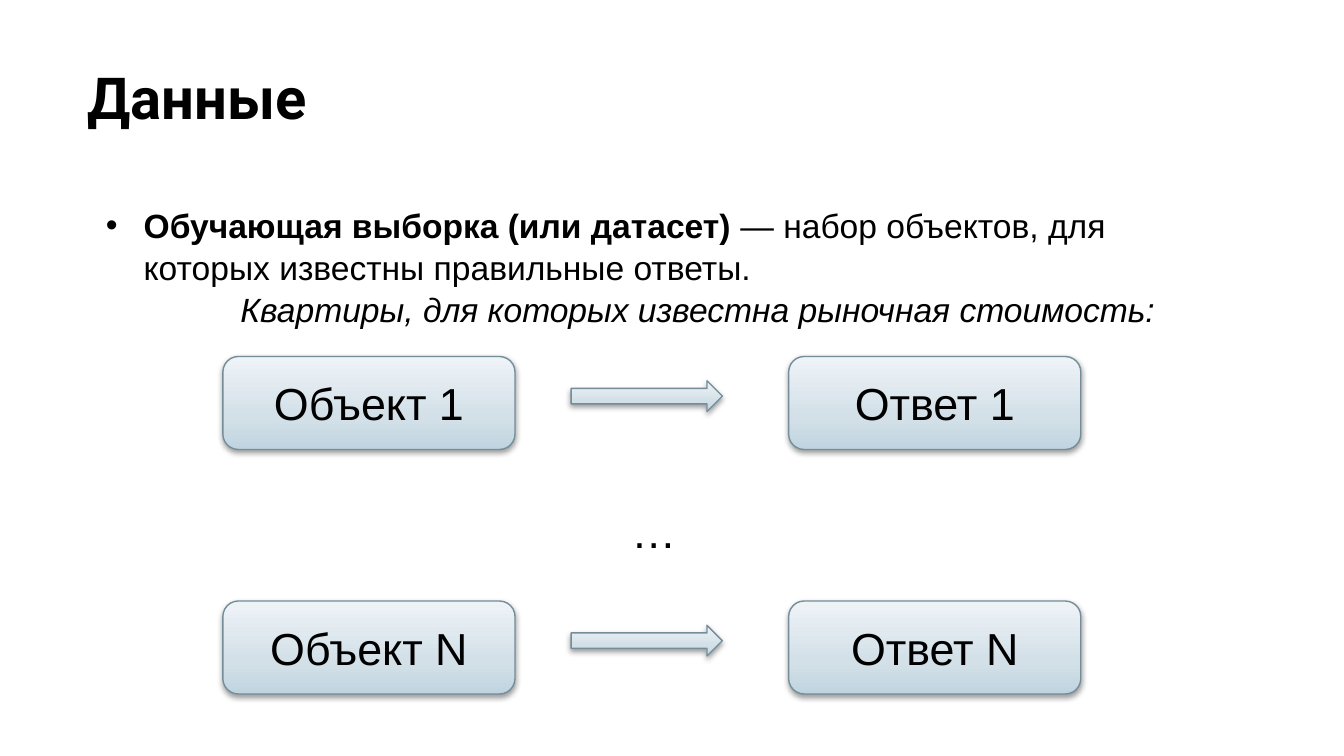
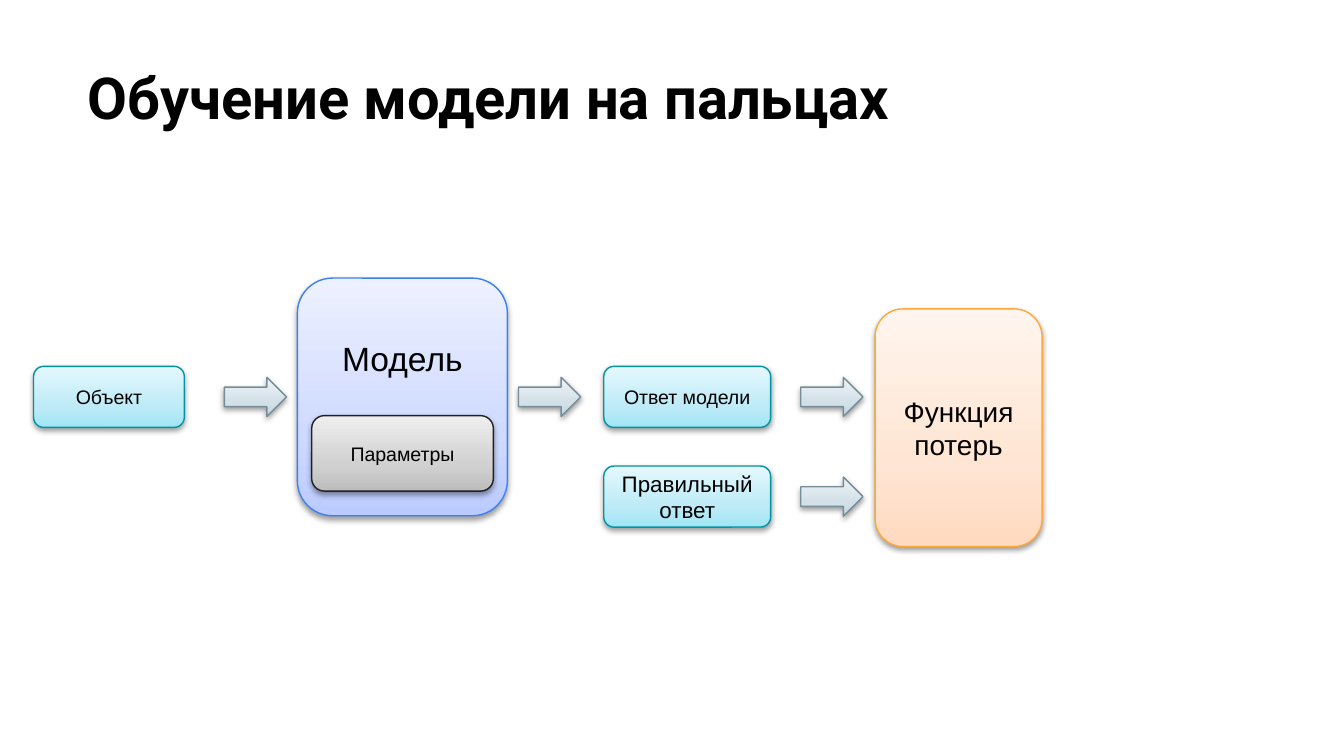
from dataclasses import dataclass

from lxml import etree
from pptx import Presentation
from pptx.dml.color import RGBColor
from pptx.enum.shapes import MSO_SHAPE
from pptx.enum.text import MSO_ANCHOR, MSO_AUTO_SIZE, PP_ALIGN
from pptx.oxml import parse_xml
from pptx.oxml.ns import nsdecls, qn
from pptx.util import Pt

ROUND_RECT = MSO_SHAPE.ROUNDED_RECTANGLE
RIGHT_ARROW = MSO_SHAPE.RIGHT_ARROW
TOP, MIDDLE = MSO_ANCHOR.TOP, MSO_ANCHOR.MIDDLE
LEFT, CENTER = PP_ALIGN.LEFT, PP_ALIGN.CENTER
NO_AUTOFIT = MSO_AUTO_SIZE.NONE


@dataclass(frozen=True)
class Theme:
    text = RGBColor(0, 0, 0)
    heading_font = "Roboto"
    body_font = "Arial"
    title_size = 31
    body_size = 18
    pair_size = 24
    model_size = 18
    loss_size = 15
    answer_size = 12
    small_size = 10.5
    line_width = 0.75
    gradient_positions = (0, 35, 100)
    # Outline, then gradient colours from bottom to top
    steel = ("748D99", "C0D4E0", "D3E0E8", "EEF3F7")
    blue = ("3C81F3", "BBCBFF", "CFDAFF", "EDF1FF")
    grey = ("202020", "BDBDBD", "D1D1D1", "EEEEEE")
    cyan = ("0094A3", "A0E5F5", "BEEBF7", "E5F8FD")
    orange = ("FEA83A", "FFDAC0", "FFE5D3", "FFF5EE")


theme = Theme()
SHADOW = (
    f'<a:outerShdw {nsdecls("a")} blurRad="{Pt(3.1)}" dist="{Pt(1.6)}" '
    'dir="5400000" rotWithShape="0"><a:srgbClr val="000000">'
    '<a:alpha val="38000"/></a:srgbClr></a:outerShdw>'
)


def add_title_slide(prs, title):
    s = prs.slides.add_slide(prs.slide_layouts[5])
    sp = s.shapes.title
    sp.left, sp.top, sp.width, sp.height = Pt(39.6), Pt(25.9), Pt(671), Pt(86.4)
    tf = sp.text_frame
    tf.text = title
    frame_format = {"auto_size": NO_AUTOFIT, "vertical_anchor": TOP, "word_wrap": True}
    for side in ("left", "top", "right", "bottom"):
        frame_format[f"margin_{side}"] = Pt(7.2)
    for name, value in frame_format.items():
        setattr(tf, name, value)
    p = tf.paragraphs[0]
    p.alignment = LEFT
    font = p.runs[0].font
    for name, value in {"name": theme.heading_font, "size": Pt(theme.title_size), "bold": True}.items():
        setattr(font, name, value)
    font.color.rgb = theme.text
    return s


def add_block(s, geometry, at, palette, text="", size=0):
    """Add a gradient shape with a soft shadow and optional centred text."""
    sp = s.shapes.add_shape(geometry, *(Pt(v) for v in at))
    outline, *colours = palette
    sp.fill.gradient()
    sp.fill.gradient_angle = 90
    stops = sp.element.spPr.find(qn("a:gradFill")).find(qn("a:gsLst"))
    for stop in list(stops):
        stops.remove(stop)
    for position, colour in zip(theme.gradient_positions, colours):
        stop = etree.SubElement(stops, qn("a:gs"), pos=str(position * 1000))
        etree.SubElement(stop, qn("a:srgbClr"), val=colour)
    sp.line.color.rgb = RGBColor.from_string(outline)
    sp.line.width = Pt(theme.line_width)
    sp.shadow.inherit = False
    sp.element.spPr.find(qn("a:effectLst")).append(parse_xml(SHADOW))
    if text:
        tf = sp.text_frame
        tf.word_wrap = True
        tf.vertical_anchor = MIDDLE
        p = tf.paragraphs[0]
        p.alignment = CENTER
        r = p.add_run()
        r.text = text
        r.font.name, r.font.size = theme.body_font, Pt(size)
        r.font.color.rgb = theme.text
    return sp


prs = Presentation()
prs.slide_width, prs.slide_height = Pt(720), Pt(405)

# Slide 1: training data
s = add_title_slide(prs, "Данные")
definition = s.shapes.add_textbox(Pt(49.7), Pt(105), Pt(620.6), Pt(260))
ellipsis = s.shapes.add_textbox(Pt(331.2), Pt(265), Pt(25.2), Pt(36))

# Paragraphs: left margin, first-line indent, bullet, size, runs (text, bold, italic)
BOX_TEXTS = (
    (definition, (
        (20.2, -20.2, "•", theme.body_size, (
            ("Обучающая выборка (или датасет) ", True, False),
            ("— набор объектов, для которых известны правильные ответы.", False, False),
        )),
        (72, 0, "", theme.body_size, (
            ("Квартиры, для которых известна рыночная стоимость:", False, True),
        )),
    )),
    (ellipsis, ((0, 0, "", theme.pair_size, (("…", False, False),)),)),
)
for sp, paragraphs in BOX_TEXTS:
    tf = sp.text_frame
    tf.word_wrap = True
    for i, (margin, indent, bullet, size, runs) in enumerate(paragraphs):
        p = tf.add_paragraph() if i else tf.paragraphs[0]
        p.line_spacing = 1.05
        pPr = p._p.get_or_add_pPr()
        pPr.set("marL", str(Pt(margin)))
        pPr.set("indent", str(Pt(indent)))
        if bullet:
            bullet_colour = etree.SubElement(pPr, qn("a:buClr"))
            etree.SubElement(bullet_colour, qn("a:srgbClr"), val=str(theme.text))
            etree.SubElement(pPr, qn("a:buFont"), typeface=theme.body_font)
            etree.SubElement(pPr, qn("a:buChar"), char=bullet)
        for text, bold, italic in runs:
            r = p.add_run()
            r.text = text
            run_format = {"name": theme.body_font, "size": Pt(size), "bold": bold, "italic": italic}
            for name, value in run_format.items():
                setattr(r.font, name, value)
            r.font.color.rgb = theme.text

for index, top in (("1", 191), ("N", 322)):
    for label, left in (("Объект", 119.4), ("Ответ", 422.5)):
        add_block(s, ROUND_RECT, (left, top, 156.5, 49.8), theme.steel,
                  f"{label} {index}", theme.pair_size)
    add_block(s, RIGHT_ARROW, (306, top + 13, 81, 16.5), theme.steel)

# Slide 2: how a model is trained
s = add_title_slide(prs, "Обучение модели на пальцах")
ROW_TOP, ROW_STEP, ROW_HEIGHT = 196.3, 53.4, 32.7
ANSWER_TOP = ROW_TOP + ROW_STEP
ARROW_WIDTH, ARROW_HEIGHT = 33.3, 21
ARROW_OFFSET = (ROW_HEIGHT - ARROW_HEIGHT) / 2

model = add_block(s, ROUND_RECT, (159.3, 149, 112.5, 127.3), theme.blue,
                  "Модель", theme.model_size)
model.text_frame.margin_bottom = Pt(45)

BLOCKS = (
    ((167, 222.7, 97.3, 40.4), theme.grey, "Параметры", theme.small_size),
    ((18, ROW_TOP, 80.8, ROW_HEIGHT), theme.cyan, "Объект", theme.small_size),
    ((323.5, ROW_TOP, 89.4, ROW_HEIGHT), theme.cyan, "Ответ модели", theme.small_size),
    ((323.5, ANSWER_TOP, 89.4, ROW_HEIGHT), theme.cyan, "Правильный ответ", theme.answer_size),
    ((468.8, 165.5, 89.5, 127.3), theme.orange, "Функция потерь", theme.loss_size),
)
for at, palette, text, size in BLOCKS:
    add_block(s, ROUND_RECT, at, palette, text, size)

for left, row_top in ((120.2, ROW_TOP), (277.8, ROW_TOP), (429, ROW_TOP), (429, ANSWER_TOP)):
    add_block(s, RIGHT_ARROW, (left, row_top + ARROW_OFFSET, ARROW_WIDTH, ARROW_HEIGHT), theme.steel)

prs.save("out.pptx")
